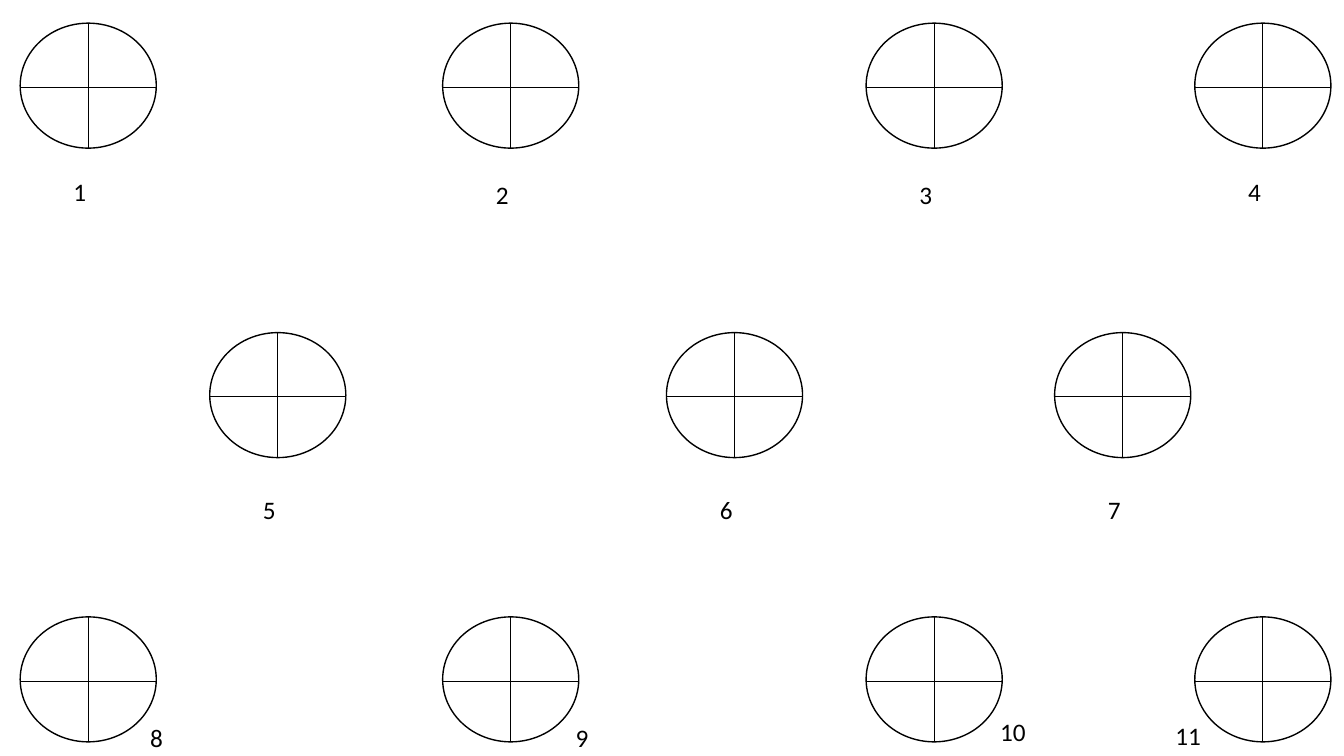
"""Build a slide of eleven numbered circles, each split by a cross."""
from dataclasses import dataclass

from lxml import etree
from pptx import Presentation
from pptx import util as u
from pptx.dml.color import RGBColor
from pptx.enum import shapes, text
from pptx.oxml import ns


@dataclass(frozen=True)
class Theme:
    ink: RGBColor = RGBColor(0, 0, 0)
    paper: RGBColor = RGBColor(255, 255, 255)
    font: str = "Calibri"
    label_size: float = 18
    outline: float = 1
    hairline: float = 0.5


class Painter:
    def __init__(self, page, theme):
        self.page = page
        self.theme = theme

    def apply(self, target, values):
        for name, value in values.items():
            setattr(target, name, value)

    def stroke(self, line, points):
        line.color.rgb = self.theme.ink
        line.width = u.Pt(points)

    def ellipse(self, left, top, width, height):
        disc = self.page.shapes.add_shape(
            shapes.MSO_SHAPE.OVAL, *map(u.Inches, (left, top, width, height)))
        disc.shadow.inherit = False
        disc.fill.solid()
        disc.fill.fore_color.rgb = self.theme.paper
        self.stroke(disc.line, self.theme.outline)

    def line(self, *ends):
        rule = self.page.shapes.add_connector(
            shapes.MSO_CONNECTOR.STRAIGHT, *map(u.Inches, ends))
        self.stroke(rule.line, self.theme.hairline)
        etree.SubElement(rule._element.spPr, ns.qn("a:effectLst"))

    def label(self, words, left, top, width, height):
        box = self.page.shapes.add_textbox(
            *map(u.Inches, (left, top, width, height)))
        self.apply(box.text_frame, {
            "word_wrap": True,
            "auto_size": text.MSO_AUTO_SIZE.SHAPE_TO_FIT_TEXT})
        para = box.text_frame.paragraphs[0]
        span = para.add_run()
        span.text = words
        self.apply(span.font, {"name": self.theme.font,
                               "size": u.Pt(self.theme.label_size)})
        span.font.color.rgb = self.theme.ink

    def crossed_circle(self, left, top):
        width, height, middle = 1.35, 1.24, 0.635
        self.ellipse(left, top, width, height)
        self.line(left, top + middle, left + width, top + middle)
        self.line(left + width / 2, top, left + width / 2, top + height)


OUTER_COLUMNS = (0.2, 4.39, 8.59, 11.85)
INNER_COLUMNS = (2.08, 6.61, 10.46)
BELOW = 0.43
ROWS = (
    (0.23, OUTER_COLUMNS, ((BELOW, 1.47), (BELOW, 1.5), (BELOW, 1.5), (BELOW, 1.47))),
    (3.3, INNER_COLUMNS, ((BELOW, 1.55),) * 3),
    (6.12, OUTER_COLUMNS, ((1.19, 1), (1.22, 1), (1.23, 0.94), (-0.29, 0.98))),
)

deck = Presentation()
deck.slide_width, deck.slide_height = u.Inches(13.33), u.Inches(7.5)
painter = Painter(deck.slides.add_slide(deck.slide_layouts[6]), Theme())

circles = [(left, top, offset) for top, columns, offsets in ROWS
           for left, offset in zip(columns, offsets)]
for left, top, offset in circles:
    painter.crossed_circle(left, top)
for number, (left, top, (across, down)) in enumerate(circles, 1):
    painter.label(str(number), left + across, top + down, 0.49, 0.4)

deck.save("out.pptx")
